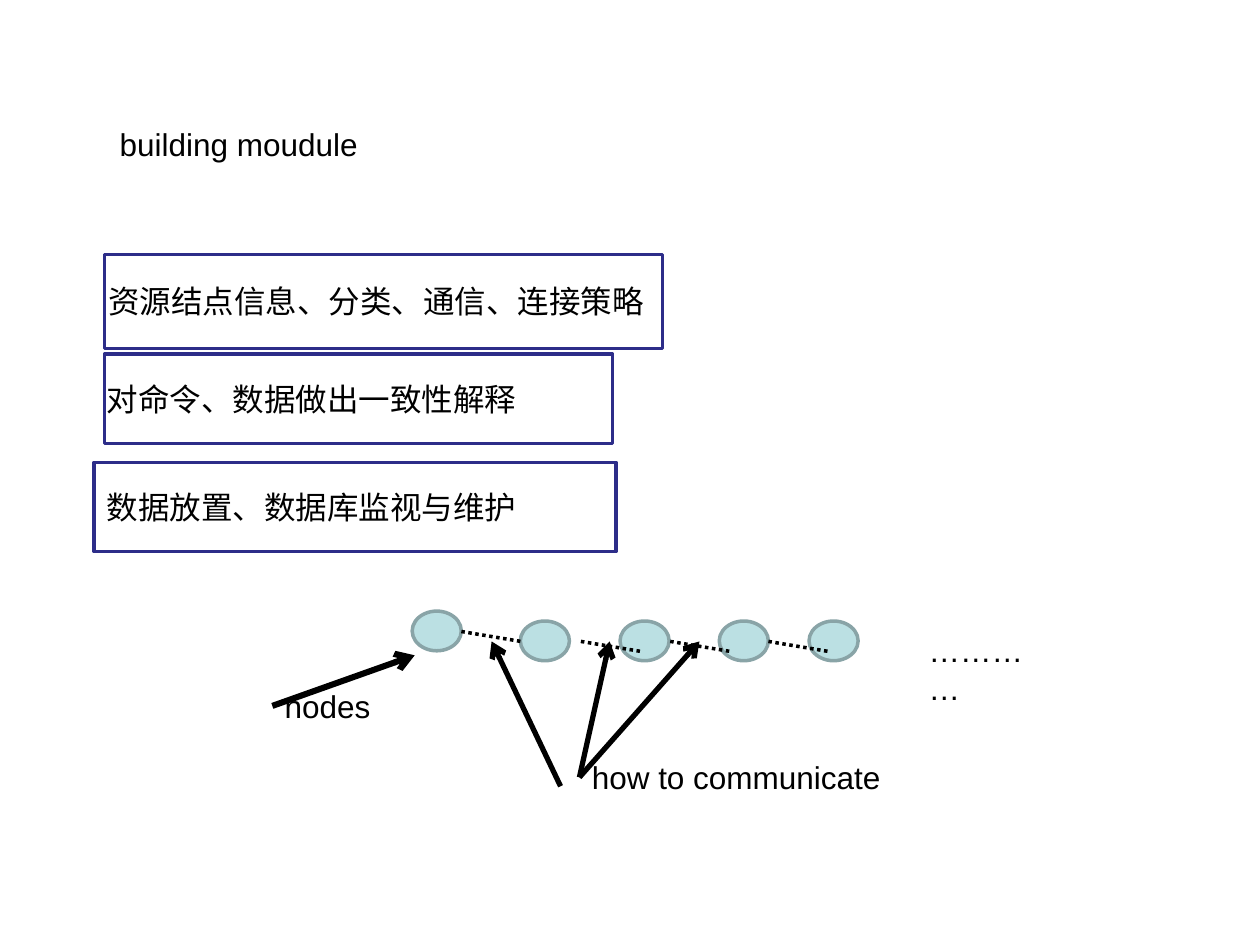
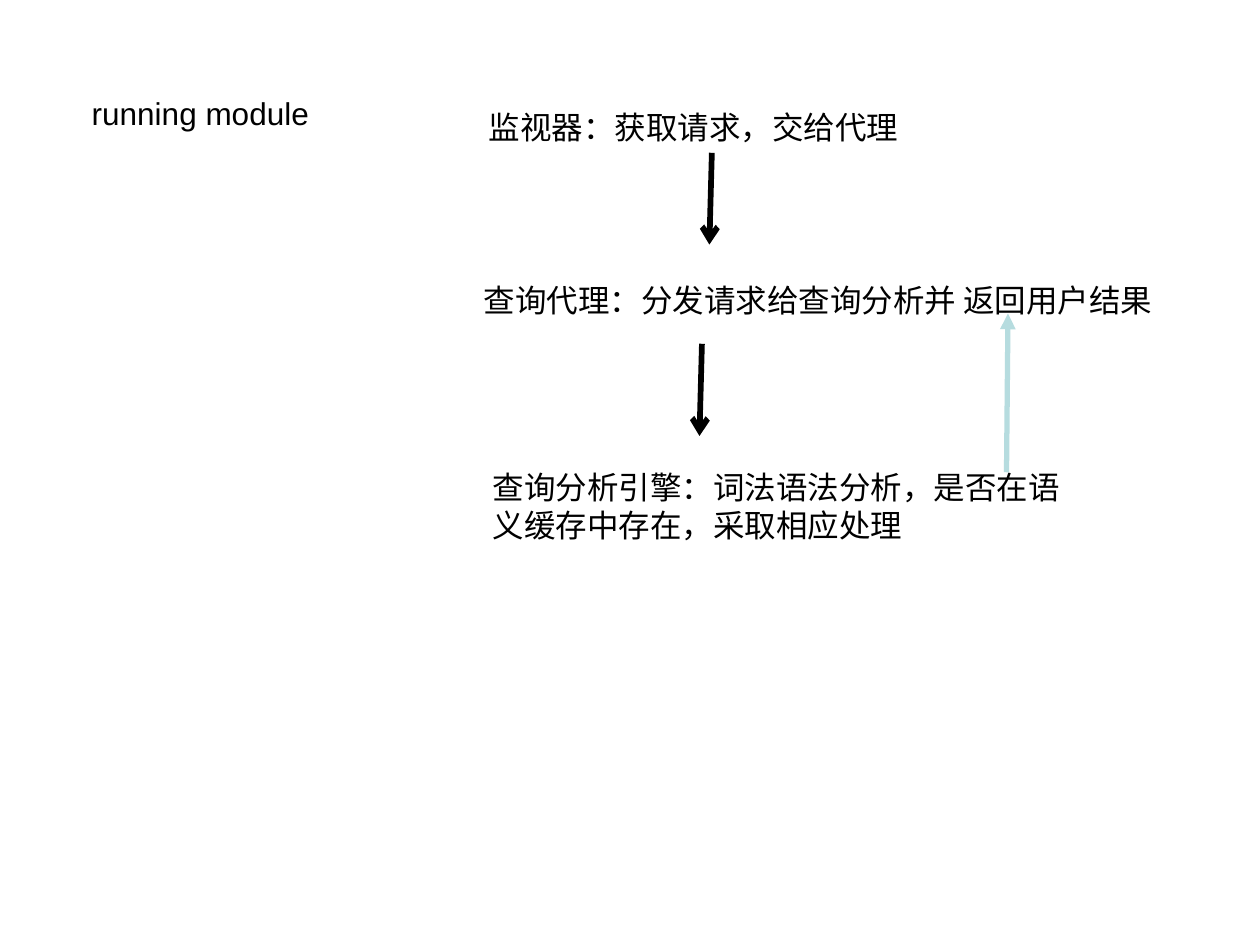
from pptx import Presentation
from pptx import util as u
from pptx.dml.color import RGBColor
from pptx.enum import dml, shapes, text
from pptx.oxml import ns, xmlchemy

FONT = "Arial"
TEXT_SIZE = 18
LINE_HEIGHT = 1.02
BLACK, WHITE, NAVY = "000000", "FFFFFF", "2D2D89"
NODE_FILL, NODE_LINE, RETURN_BLUE = "BBE0E3", "89A4A7", "B6DCDF"
LEFT_SIDE, BOTTOM_SIDE = 1, 2

# left, top, width, height of the frame; left and width of its label; wording
LAYERS = [
    (2.11, 5.13, 11.25, 1.9, 1.93, 12.4, "资源结点信息、分类、通信、连接策略"),
    (2.11, 7.14, 10.24, 1.8, 1.9, 10.19, "对命令、数据做出一致性解释"),
    (1.9, 9.32, 10.52, 1.8, 1.9, 10.19, "数据放置、数据库监视与维护"),
]
NODES = [(8.31, 12.32), (10.49, 12.52), (12.5, 12.52), (14.5, 12.52), (16.31, 12.52)]
LINK_STARTS = [(9.3, 12.73), (11.71, 12.93), (13.51, 12.93), (15.49, 12.93)]


def set_color(color_format, hex_color):
    color_format.rgb = RGBColor.from_string(hex_color)


def add_label(page, left, top, width, wording, lines=1):
    height = LINE_HEIGHT if lines == 1 else 1.78
    box = page.shapes.add_textbox(u.Cm(left), u.Cm(top), u.Cm(width), u.Cm(height))
    frame = box.text_frame
    frame.word_wrap = True
    frame.auto_size = text.MSO_AUTO_SIZE.SHAPE_TO_FIT_TEXT
    span = frame.paragraphs[0].add_run()
    span.text = wording
    span.font.name = FONT
    span.font.size = u.Pt(TEXT_SIZE)
    set_color(span.font.color, BLACK)
    return box


def add_outlined(page, kind, left, top, width, height, fill, outline):
    """Add a preset shape with a solid fill and a 2 pt outline."""
    shape = page.shapes.add_shape(
        kind, u.Cm(left), u.Cm(top), u.Cm(width), u.Cm(height))
    shape.shadow.inherit = False
    shape.fill.solid()
    set_color(shape.fill.fore_color, fill)
    set_color(shape.line.color, outline)
    shape.line.width = u.Pt(2)


def add_line(page, start, end, weight, color=BLACK, head=None, dotted=False):
    line = page.shapes.add_connector(
        shapes.MSO_CONNECTOR.STRAIGHT, *(u.Cm(value) for value in (*start, *end)))
    set_color(line.line.color, color)
    line.line.width = u.Pt(weight)
    if dotted:
        line.line.dash_style = dml.MSO_LINE.ROUND_DOT
    properties = line.element.spPr
    if head:
        tail = xmlchemy.OxmlElement("a:tailEnd")
        tail.set("type", head)
        properties.find(ns.qn("a:ln")).append(tail)
    properties.append(xmlchemy.OxmlElement("a:effectLst"))
    return line


def add_layer(page, left, top, width, height, label_left, label_width, wording):
    """Add a framed layer with its label centred vertically."""
    add_outlined(page, shapes.MSO_SHAPE.RECTANGLE, left, top, width, height, WHITE, NAVY)
    label_top = top + (height - LINE_HEIGHT) / 2
    add_label(page, label_left, label_top, label_width, wording)


def build_building_page(page):
    add_label(page, 2.16, 2.39, 5.89, "building moudule")
    for layer in LAYERS:
        add_layer(page, *layer)

    for left, top in NODES:
        add_outlined(page, shapes.MSO_SHAPE.OVAL, left, top, 0.99, 0.8, NODE_FILL, NODE_LINE)
    for x, y in LINK_STARTS:
        add_line(page, (x, y), (x + 1.2, y + 0.2), 2, dotted=True)
    add_label(page, 18.47, 12.6, 3.02, "…………", lines=2)

    nodes_label = add_label(page, 5.49, 13.72, 5.44, "nodes")
    pointer = add_line(page, (5.49, 14.22), (8.36, 13.21), 3.5, head="arrow")
    pointer.begin_connect(nodes_label, LEFT_SIDE)

    question = add_label(page, 11.68, 15.16, 8.53, "how to communicate")
    add_line(page, (11.3, 15.85), (9.91, 12.93), 3, head="arrow")
    for link_x in (12.29, 14.1):
        pointer = add_line(page, (11.68, 15.67), (link_x, 12.93), 3, head="arrow")
        pointer.begin_connect(question, LEFT_SIDE)


def build_running_page(page):
    add_label(page, 1.6, 1.78, 6.3, "running module")
    monitor = add_label(page, 9.6, 2.06, 9.5, "监视器：获取请求，交给代理")
    add_label(page, 9.5, 5.54, 14.88, "查询代理：分发请求给查询分析并 返回用户结果")
    add_label(page, 9.68, 9.32, 12.29,
              "查询分析引擎：词法语法分析，是否在语义缓存中存在，采取相应处理", lines=2)

    request = add_line(page, (14.35, 3.07), (14.3, 4.93), 3.25, head="arrow")
    request.begin_connect(monitor, BOTTOM_SIDE)
    add_line(page, (14.15, 6.93), (14.1, 8.79), 3.25, head="arrow")
    add_line(page, (20.29, 9.52), (20.32, 6.32), 3, RETURN_BLUE, head="triangle")


def main():
    deck = Presentation()
    deck.slide_width, deck.slide_height = u.Cm(25.4), u.Cm(19.05)
    blank = deck.slide_layouts[6]
    for build in (build_building_page, build_running_page):
        build(deck.slides.add_slide(blank))
    deck.save("out.pptx")


if __name__ == "__main__":
    main()
